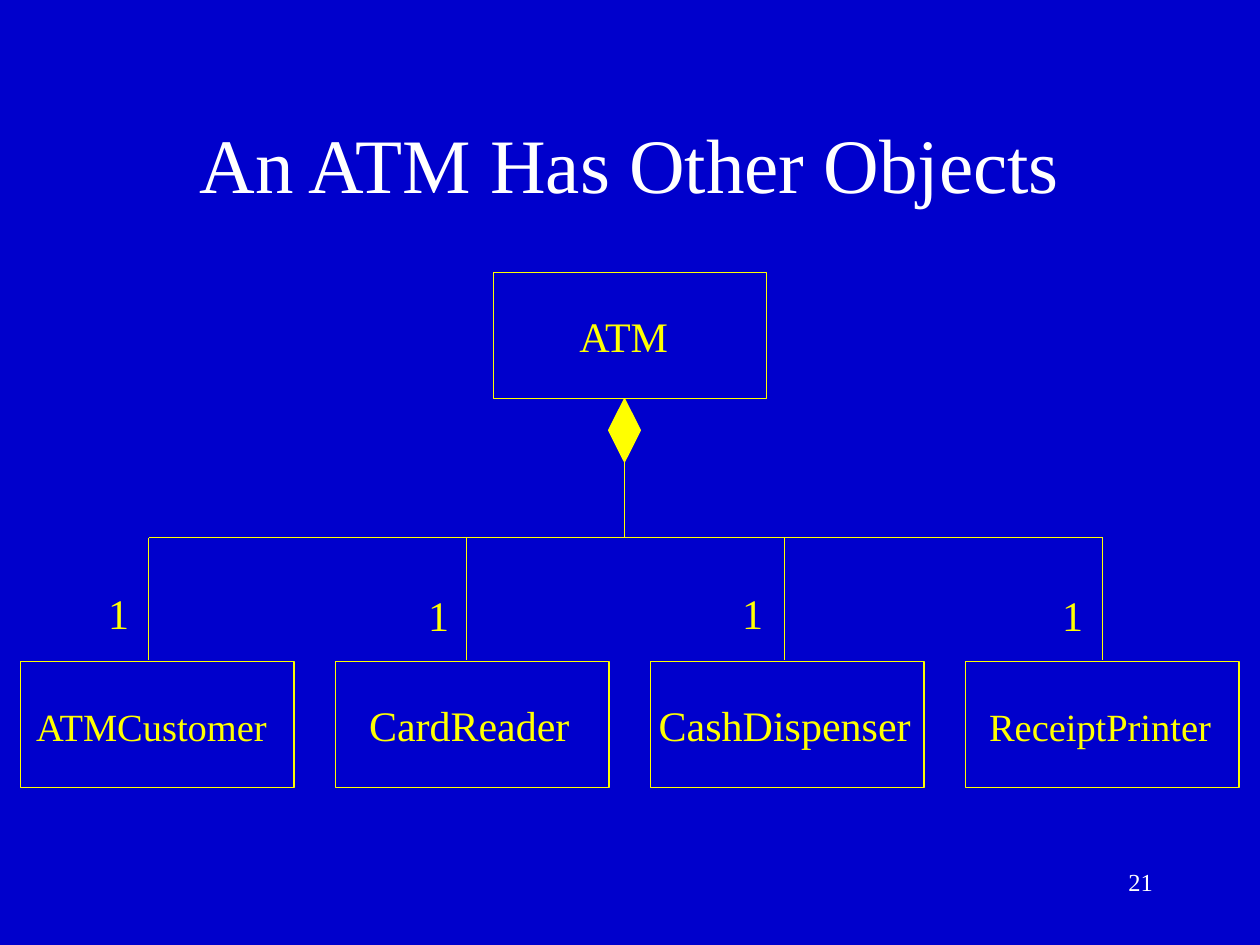
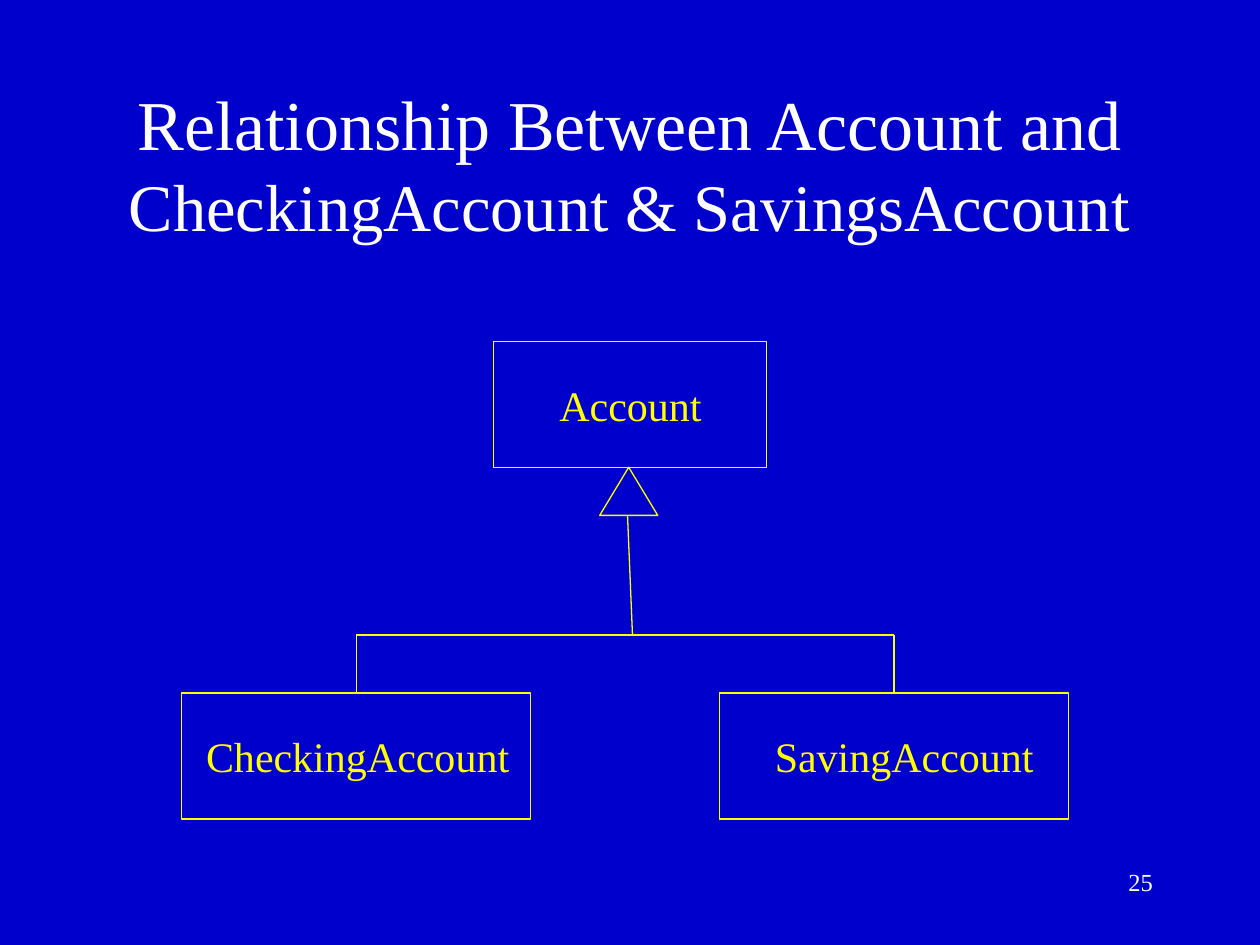
"""Build two class-diagram slides: ATM composition and account inheritance."""
from dataclasses import dataclass

from lxml.etree import SubElement
from pptx import Presentation
from pptx.dml.color import RGBColor
from pptx.enum.shapes import MSO_CONNECTOR, MSO_SHAPE
from pptx.enum.text import MSO_ANCHOR, MSO_AUTO_SIZE, PP_ALIGN
from pptx.oxml.ns import qn
from pptx.presentation import Presentation as Deck
from pptx.shapes.autoshape import Shape
from pptx.shapes.connector import Connector
from pptx.slide import Slide
from pptx.text.text import Font
from pptx.util import Cm, Pt


@dataclass(frozen=True)
class Theme:
    font: str = "Times New Roman"
    background: RGBColor = RGBColor(0x00, 0x00, 0xCC)
    text: RGBColor = RGBColor(0xFF, 0xFF, 0xFF)
    diagram: RGBColor = RGBColor(0xFF, 0xFF, 0x00)
    title_size: int = 44
    long_title_size: int = 40
    title_tail_size: int = 38
    label_size: int = 24
    small_label_size: int = 22
    number_size: int = 14
    line_width: float = 0.75


THEME = Theme()


@dataclass(frozen=True)
class Area:
    left: float
    top: float
    width: float
    height: float

    @property
    def center(self) -> float:
        return self.left + self.width / 2

    @property
    def bottom(self) -> float:
        return self.top + self.height


@dataclass(frozen=True)
class Label:
    text: str
    left: float
    top: float
    width: float
    size: int = THEME.label_size
    align: PP_ALIGN = PP_ALIGN.LEFT


@dataclass(frozen=True)
class ClassBox:
    area: Area
    label: Label


TITLE_AREA = Area(1.9, 1.69, 21.59, 3.18)
NUMBER_AREA = Area(18.21, 17.35, 5.28, 1.27)
BOX_WIDTH, BOX_HEIGHT, WIDE_BOX_WIDTH = 5.51, 2.54, 7.04
PARENT_LEFT = 9.95
PART_LEFT, PART_TOP, PART_PITCH = 0.42, 13.34, 6.35
DROP_LEFT, DROP_PITCH, DROP_BOTTOM = 3.0, 6.41, 13.31
PART_BAR_TOP = 10.84
SUBCLASS_TOP, SUBCLASS_BAR_TOP = 13.97, 12.8

ATM = ClassBox(Area(PARENT_LEFT, 5.5, BOX_WIDTH, BOX_HEIGHT),
               Label("ATM", 11.43, 6.14, 2.39))
PART_LABELS = (
    Label("ATMCustomer", 0.48, 14.05, 5.23, THEME.small_label_size),
    Label("CardReader", 7.19, 13.97, 4.55),
    Label("CashDispenser", 13.03, 13.97, 5.59),
    Label("ReceiptPrinter", 19.69, 14.05, 4.98, THEME.small_label_size),
)
MULTIPLICITIES = tuple(
    Label("1", left, top, 0.91)
    for left, top in ((1.93, 11.71), (8.38, 11.76), (14.71, 11.71), (21.16, 11.76))
)
ACCOUNT = ClassBox(Area(PARENT_LEFT, 6.88, BOX_WIDTH, BOX_HEIGHT),
                   Label("Account", 10.97, 7.52, 3.48, align=PP_ALIGN.CENTER))
SUBCLASSES = (
    ClassBox(Area(3.66, SUBCLASS_TOP, WIDE_BOX_WIDTH, BOX_HEIGHT),
             Label("CheckingAccount", 3.81, 14.61, 6.8, align=PP_ALIGN.CENTER)),
    ClassBox(Area(14.5, SUBCLASS_TOP, WIDE_BOX_WIDTH, BOX_HEIGHT),
             Label("SavingAccount", 15.32, 14.61, 5.82, align=PP_ALIGN.CENTER)),
)


def style_font(font: Font, size: int, color: RGBColor) -> None:
    """Apply the shared typeface with a size and colour."""
    font.name, font.size = THEME.font, Pt(size)
    font.color.rgb = color


def add_text(slide: Slide, area: Area, text: str, size: int, color: RGBColor,
             align: PP_ALIGN, wrap: bool = True) -> Shape:
    """Add a one-paragraph text box."""
    box = slide.shapes.add_textbox(Cm(area.left), Cm(area.top),
                                   Cm(area.width), Cm(area.height))
    box.text_frame.word_wrap = wrap
    paragraph = box.text_frame.paragraphs[0]
    paragraph.alignment = align
    paragraph.add_run().text = text
    style_font(paragraph.font, size, color)
    return box


def add_label(slide: Slide, label: Label) -> None:
    """Add an unwrapped diagram label."""
    area = Area(label.left, label.top, label.width, 1.27)
    box = add_text(slide, area, label.text, label.size, THEME.diagram,
                   label.align, wrap=False)
    box.text_frame.auto_size = MSO_AUTO_SIZE.SHAPE_TO_FIT_TEXT


def add_outline(slide: Slide, area: Area, kind: MSO_SHAPE = MSO_SHAPE.RECTANGLE,
                filled: bool = False) -> Shape:
    """Add an outlined diagram shape, optionally filled."""
    outline = slide.shapes.add_shape(kind, Cm(area.left), Cm(area.top),
                                     Cm(area.width), Cm(area.height))
    outline.shadow.inherit = False
    if filled:
        outline.fill.solid()
        outline.fill.fore_color.rgb = THEME.diagram
    else:
        outline.fill.background()
    outline.line.color.rgb = THEME.diagram
    outline.line.width = Pt(THEME.line_width)
    return outline


def add_class(slide: Slide, box: ClassBox) -> Shape:
    """Add a class rectangle with its name."""
    rectangle = add_outline(slide, box.area)
    add_label(slide, box.label)
    return rectangle


def add_line(slide: Slide, start: tuple[float, float],
             end: tuple[float, float]) -> Connector:
    """Add a straight diagram line."""
    line = slide.shapes.add_connector(
        MSO_CONNECTOR.STRAIGHT, Cm(start[0]), Cm(start[1]), Cm(end[0]), Cm(end[1]))
    line.line.color.rgb = THEME.diagram
    line.line.width = Pt(THEME.line_width)
    SubElement(line.element.spPr, qn("a:effectLst"))
    return line


def add_page(deck: Deck, title: str, title_size: int, number: int) -> tuple[Slide, Shape]:
    """Add a slide with its title and page number."""
    slide = deck.slides.add_slide(deck.slide_layouts[6])
    heading = add_text(slide, TITLE_AREA, title, title_size, THEME.text, PP_ALIGN.CENTER)
    heading.text_frame.vertical_anchor = MSO_ANCHOR.MIDDLE
    add_text(slide, NUMBER_AREA, str(number), THEME.number_size, THEME.text, PP_ALIGN.RIGHT)
    return slide, heading


def build_composition(deck: Deck) -> None:
    """Draw the ATM and the four parts it owns."""
    slide, _ = add_page(deck, "An ATM Has Other Objects", THEME.title_size, 21)
    add_class(slide, ATM)
    diamond_area = Area(12.27, ATM.area.bottom, 0.64, 1.27)
    diamond = add_outline(slide, diamond_area, MSO_SHAPE.DIAMOND, filled=True)
    stem = add_line(slide, (diamond_area.center, diamond_area.bottom),
                    (diamond_area.center, PART_BAR_TOP))
    stem.begin_connect(diamond, 2)
    drops = [DROP_LEFT + index * DROP_PITCH for index in range(len(PART_LABELS))]
    add_line(slide, (drops[0], PART_BAR_TOP), (drops[-1], PART_BAR_TOP))
    for index, (name, multiplicity, drop) in enumerate(
            zip(PART_LABELS, MULTIPLICITIES, drops)):
        area = Area(PART_LEFT + index * PART_PITCH, PART_TOP, BOX_WIDTH, BOX_HEIGHT)
        add_class(slide, ClassBox(area, name))
        add_label(slide, multiplicity)
        add_line(slide, (drop, PART_BAR_TOP), (drop, DROP_BOTTOM))


def build_inheritance(deck: Deck) -> None:
    """Draw Account and its two subclasses."""
    slide, heading = add_page(deck, "Relationship Between Account and ",
                              THEME.long_title_size, 25)
    tail = heading.text_frame.paragraphs[0].add_run()
    tail.text = "CheckingAccount & SavingsAccount"
    tail.font.size = Pt(THEME.title_tail_size)
    add_class(slide, ACCOUNT)
    triangle_area = Area(12.09, ACCOUNT.area.bottom, 1.17, 0.97)
    add_outline(slide, triangle_area, MSO_SHAPE.ISOSCELES_TRIANGLE)
    add_line(slide, (12.65, triangle_area.bottom), (12.75, SUBCLASS_BAR_TOP))
    first, last = SUBCLASSES[0].area.center, SUBCLASSES[-1].area.center
    add_line(slide, (first, SUBCLASS_BAR_TOP), (last, SUBCLASS_BAR_TOP))
    for subclass in SUBCLASSES:
        rectangle = add_class(slide, subclass)
        center = subclass.area.center
        drop = add_line(slide, (center, SUBCLASS_BAR_TOP), (center, SUBCLASS_TOP))
        drop.end_connect(rectangle, 0)


def main() -> None:
    """Build and save the deck."""
    deck = Presentation()
    deck.slide_width, deck.slide_height = Cm(25.4), Cm(19.05)
    backdrop = deck.slide_master.background.fill
    backdrop.solid()
    backdrop.fore_color.rgb = THEME.background
    build_composition(deck)
    build_inheritance(deck)
    deck.save("out.pptx")


if __name__ == "__main__":
    main()
